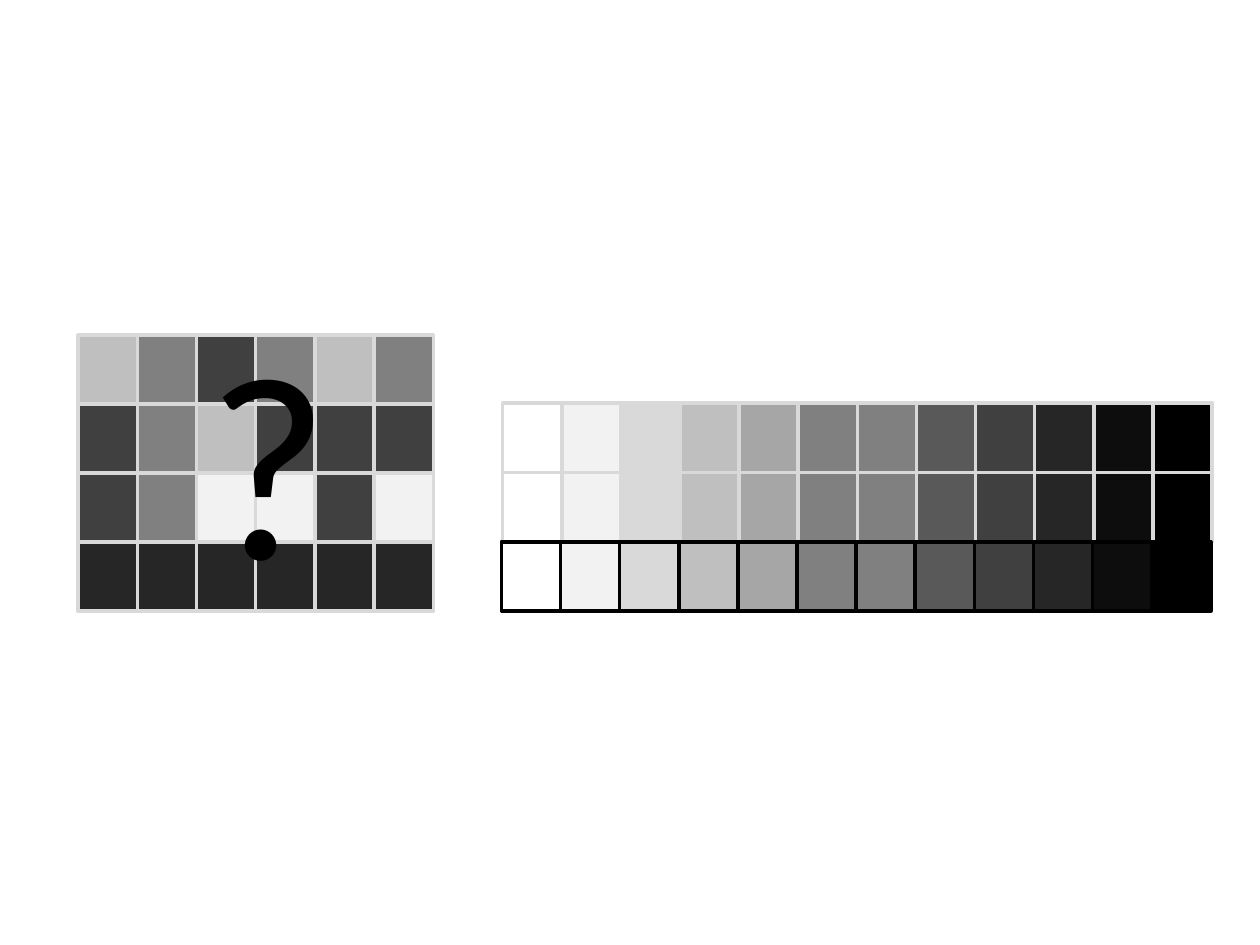
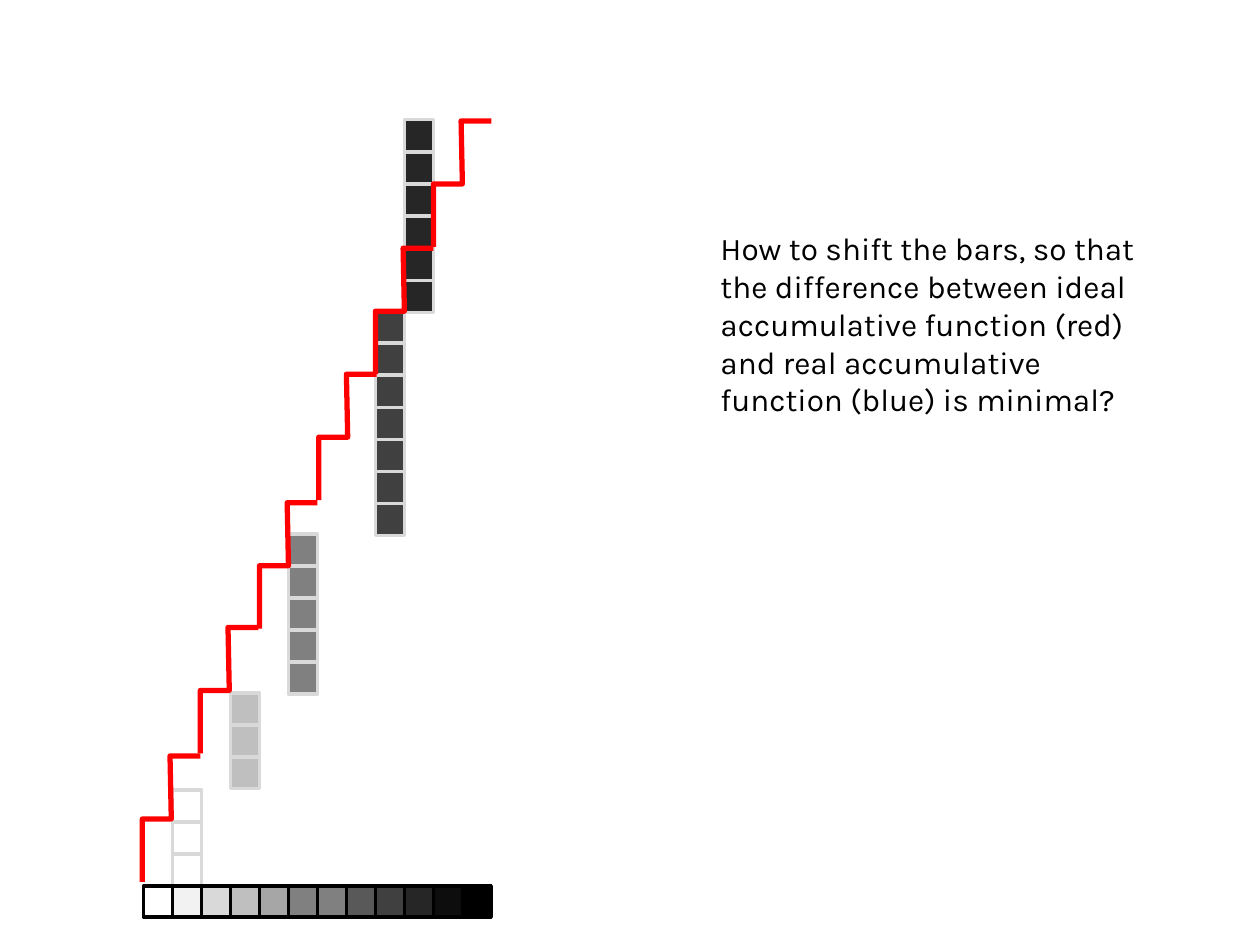
from pptx import Presentation
from pptx.dml.color import RGBColor
from pptx.enum.shapes import MSO_SHAPE
from pptx.enum.text import MSO_AUTO_SIZE as AutoSize
from pptx.util import Pt

PX = 9144
BLACK = RGBColor(0x00, 0x00, 0x00)
NEAR_BLACK = RGBColor(0x0D, 0x0D, 0x0D)
CHARCOAL = RGBColor(0x26, 0x26, 0x26)
DARK = RGBColor(0x40, 0x40, 0x40)
SLATE = RGBColor(0x59, 0x59, 0x59)
MIDDLE = RGBColor(0x80, 0x80, 0x80)
SOFT = RGBColor(0xA6, 0xA6, 0xA6)
SILVER = RGBColor(0xBF, 0xBF, 0xBF)
PALE = RGBColor(0xD9, 0xD9, 0xD9)
MIST = RGBColor(0xF2, 0xF2, 0xF2)
WHITE = RGBColor(0xFF, 0xFF, 0xFF)
RED = RGBColor(0xFF, 0x00, 0x00)

GRAY_SCALE = [WHITE, MIST, PALE, SILVER, SOFT, MIDDLE,
              MIDDLE, SLATE, DARK, CHARCOAL, NEAR_BLACK, BLACK]


def add_cells(shapes, left, top, width, height, rows, line_color):
    cell_height = height / len(rows)
    for row_index, row in enumerate(rows):
        cell_width = width / len(row)
        for column_index, color in enumerate(row):
            cell = shapes.add_shape(
                MSO_SHAPE.RECTANGLE,
                round((left + column_index * cell_width) * PX),
                round((top + row_index * cell_height) * PX),
                round(cell_width * PX), round(cell_height * PX))
            cell.shadow.inherit = False
            cell.fill.solid()
            cell.fill.fore_color.rgb = color
            cell.line.color.rgb = line_color
            cell.line.width = Pt(2)


def add_text(slide, left, top, width, height, text, font_format):
    box = slide.shapes.add_textbox(left * PX, top * PX, width * PX, height * PX)
    frame = box.text_frame
    frame.word_wrap = True
    frame.auto_size = AutoSize.SHAPE_TO_FIT_TEXT
    run = frame.paragraphs[0].add_run()
    run.text = text
    for attribute, value in font_format.items():
        setattr(run.font, attribute, value)
    run.font.color.rgb = BLACK


presentation = Presentation()
presentation.slide_width = 1000 * PX
presentation.slide_height = 750 * PX
blank_layout = presentation.slide_layouts[6]

mosaic_slide = presentation.slides.add_slide(blank_layout)
mosaic = [
    [SILVER, MIDDLE, DARK, MIDDLE, SILVER, MIDDLE],
    [DARK, MIDDLE, SILVER, DARK, DARK, DARK],
    [DARK, MIDDLE, MIST, MIST, DARK, MIST],
    [CHARCOAL] * 6,
]
for left, top, width, height, rows, line_color in [
    (399, 375, 563, 55, [GRAY_SCALE], PALE),
    (398, 430, 563, 55, [GRAY_SCALE], BLACK),
    (62, 266, 282, 219, mosaic, PALE),
    (399, 320, 563, 55, [GRAY_SCALE], PALE),
]:
    add_cells(mosaic_slide.shapes, left, top, width, height, rows, line_color)
add_text(mosaic_slide, 155, 231, 134, 263, "?",
         {"name": "Calibri", "size": Pt(150)})

histogram_slide = presentation.slides.add_slide(blank_layout)
SCALE_LEFT, COLUMN_WIDTH = 114, 23
for column, top, height, count, color in [
    (5, 424, 127, 5, MIDDLE),
    (3, 550, 76, 3, SILVER),
    (1, 627, 76, 3, WHITE),
    (8, 247, 178, 7, DARK),
    (9, 95, 153, 6, CHARCOAL),
]:
    bar = histogram_slide.shapes.add_group_shape()
    add_cells(bar.shapes, SCALE_LEFT + column * COLUMN_WIDTH, top,
              COLUMN_WIDTH, height, [[color]] * count, PALE)
add_cells(histogram_slide.shapes, SCALE_LEFT, 703, 12 * COLUMN_WIDTH, 25,
          [GRAY_SCALE], BLACK)

staircase = histogram_slide.shapes.add_group_shape()
for left, bottom in [(113, 700), (159, 598), (206, 499),
                     (253, 397), (298, 297), (344, 196)]:
    builder = staircase.shapes.build_freeform(left, bottom, scale=PX)
    builder.add_line_segments(
        [(left + right, bottom - up)
         for right, up in [(0, 50), (23, 50), (22, 100), (46, 100)]],
        close=False)
    step = builder.convert_to_shape()
    step.shadow.inherit = False
    step.fill.background()
    step.line.color.rgb = RED
    step.line.width = Pt(3)

add_text(histogram_slide, 562, 177, 354, 162,
         "How to shift the bars, so that the difference between ideal "
         "accumulative function (red) and real accumulative function (blue) "
         "is minimal?",
         {"name": "Karla", "size": Pt(18)})

presentation.save("out.pptx")
